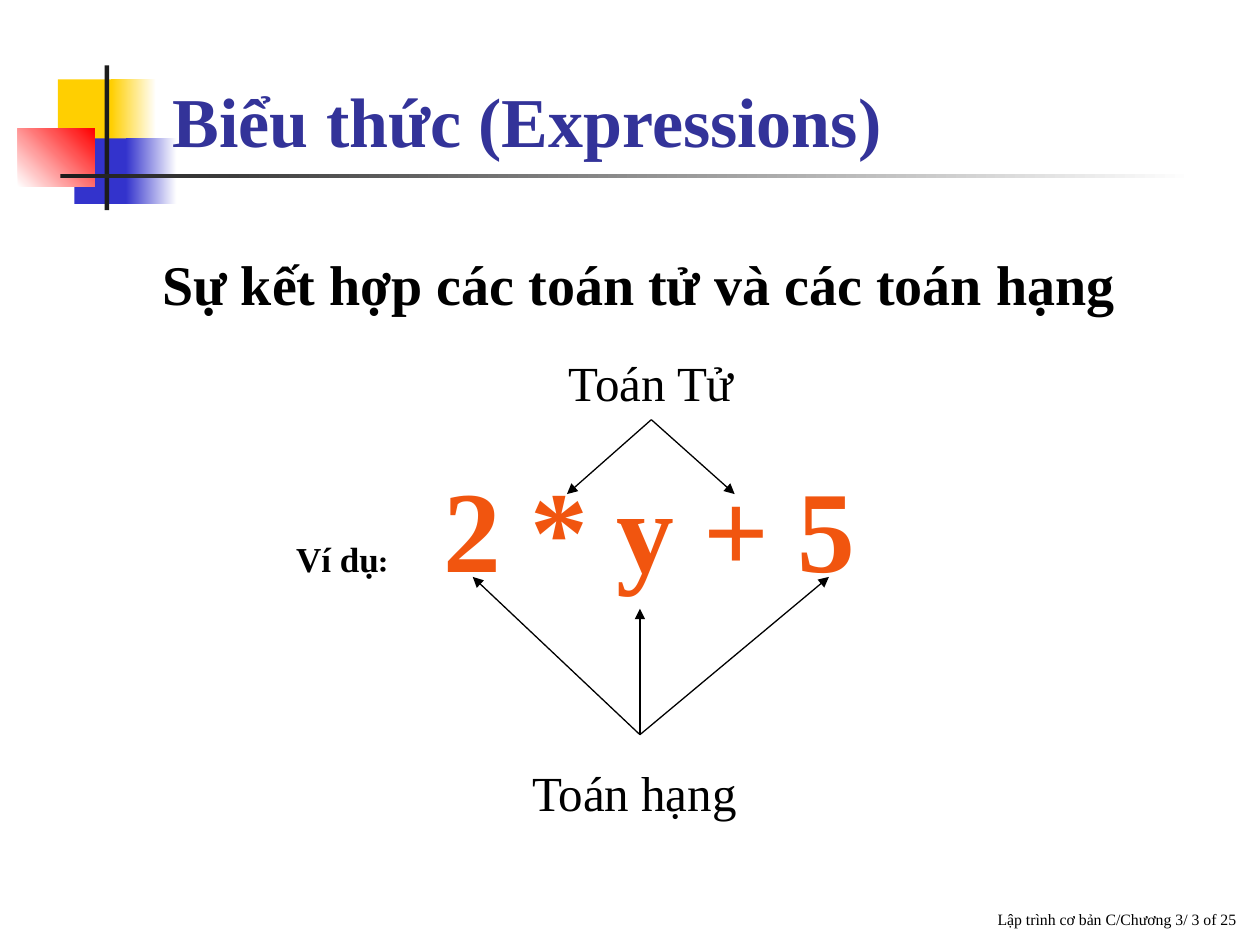
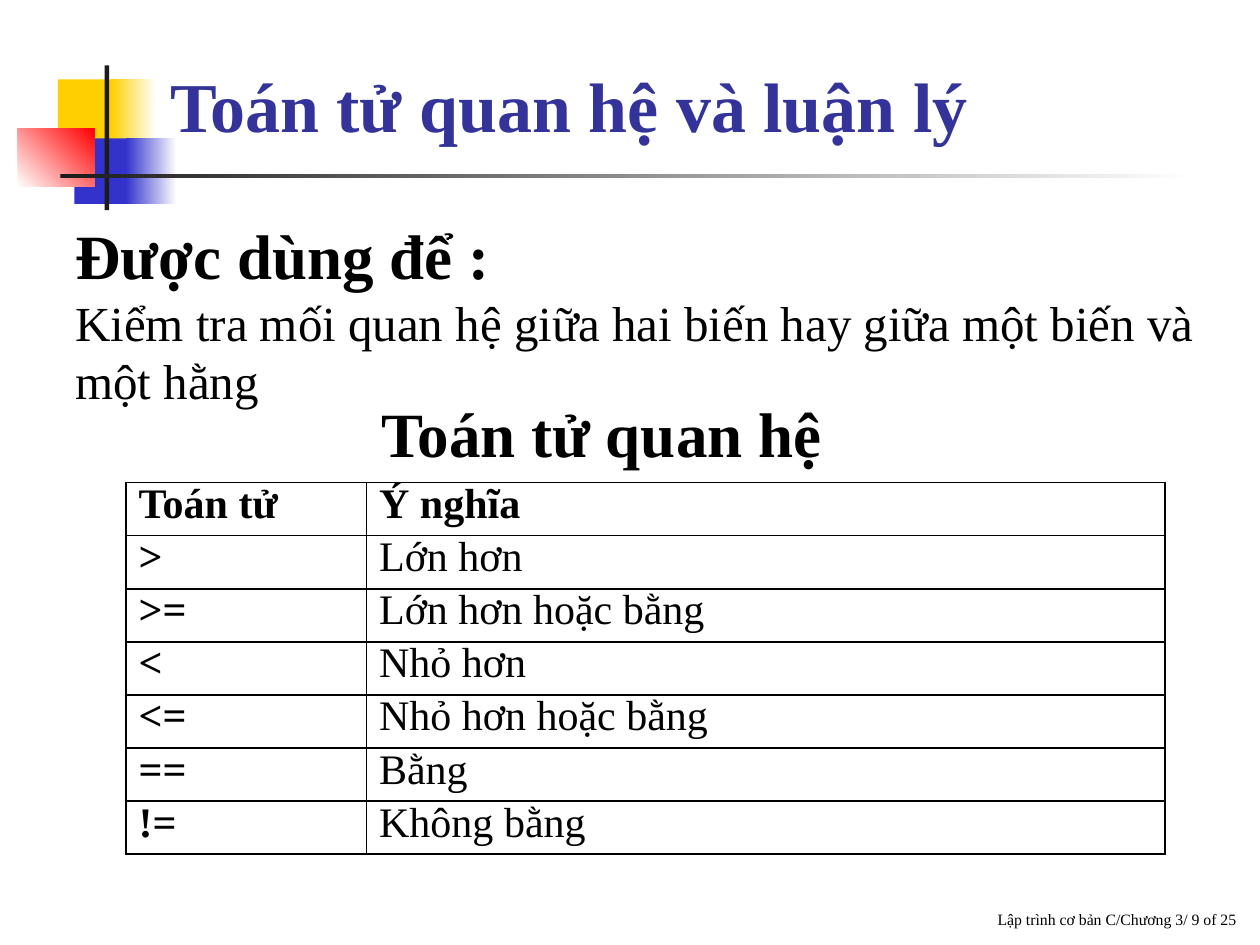
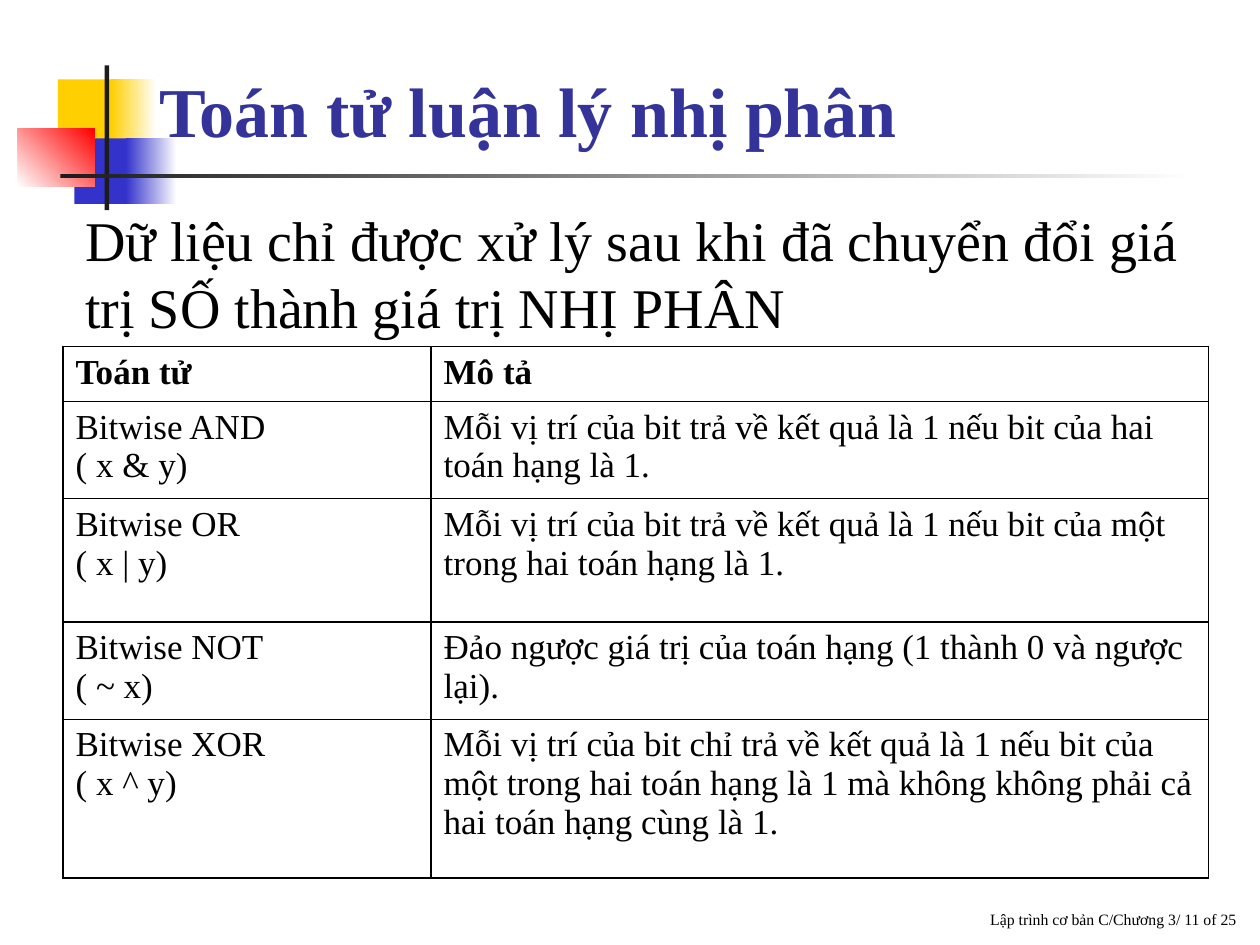
from pptx import Presentation
from pptx.dml.color import RGBColor
from pptx.enum.shapes import MSO_CONNECTOR, MSO_SHAPE
from pptx.enum.text import MSO_ANCHOR as ANCHOR, PP_ALIGN as ALIGN
from pptx.oxml import parse_xml
from pptx.oxml.ns import nsdecls, qn
from pptx.util import Cm, Pt

FONT = "Times New Roman"
BLACK, WHITE, DARK = "000000", "FFFFFF", "1C1C1C"
YELLOW, BLUE, RED = "FFCF01", "3333CC", "FF0000"
TITLE, ORANGE = "333399", "F1550F"
SLIDE_COUNT = 25


def rgb(value):
    return RGBColor.from_string(value)


def cms(*values):
    return [Cm(v) for v in values]


def xml(tag, body="", attrs=""):
    return parse_xml(f'<a:{tag} {nsdecls("a")} {attrs}>{body}</a:{tag}>')


def style(run, size, color=BLACK, bold=False, font=FONT):
    run.font.name, run.font.size, run.font.bold = font, Pt(size), bold
    run.font.color.rgb = rgb(color)


def add_rect(s, at, start, end=None, angle=0):
    """Draw a borderless rectangle, with a gradient if an end colour is given."""
    sp = s.shapes.add_shape(MSO_SHAPE.RECTANGLE, *cms(*at))
    sp.shadow.inherit = False
    sp.line.fill.background()
    if end is None:
        sp.fill.solid()
        sp.fill.fore_color.rgb = rgb(start)
        return
    sp.fill.gradient()
    sp.fill.gradient_angle = angle
    for stop, color, position in zip(sp.fill.gradient_stops, (start, end), (0, 1)):
        stop.color.rgb = rgb(color)
        stop.position = position


def add_text(s, at, text, size, color=BLACK, bold=False, align=ALIGN.LEFT,
             anchor=ANCHOR.TOP, wrap=True):
    tf = s.shapes.add_textbox(*cms(*at)).text_frame
    tf.word_wrap = wrap
    tf.vertical_anchor = anchor
    tf.text = text
    for p in tf.paragraphs:
        p.alignment = align
        for r in p.runs:
            style(r, size, color, bold)
    return tf


def add_arrow(s, start, end):
    c = s.shapes.add_connector(MSO_CONNECTOR.STRAIGHT, *cms(*start, *end))
    c.line.color.rgb = rgb(BLACK)
    c.line.width = Pt(0.75)
    sp_pr = c._element.spPr
    sp_pr.find(qn("a:ln")).append(xml("tailEnd", attrs='type="triangle"'))
    sp_pr.append(xml("effectLst"))


def add_borders(cell):
    fill = f'<a:solidFill><a:srgbClr val="{BLACK}"/></a:solidFill>'
    tc_pr = cell._tc.get_or_add_tcPr()
    for side in ("lnL", "lnR", "lnT", "lnB"):
        tc_pr.append(xml(side, fill, f'w="{Pt(1)}"'))


def add_table(s, left, top, widths, heights, rows, size, bold_first=False, spacing=None):
    """Draw a ruled table with a bold header row and, if asked, a bold first column."""
    frame = s.shapes.add_table(len(rows), len(widths),
                               *cms(left, top, sum(widths), sum(heights)))
    table = frame.table
    table.first_row = table.horz_banding = False
    for column, width in zip(table.columns, widths):
        column.width = Cm(width)
    for row, height in zip(table.rows, heights):
        row.height = Cm(height)
    for i, texts in enumerate(rows):
        for j, text in enumerate(texts):
            cell = table.cell(i, j)
            cell.text = text
            add_borders(cell)
            cell.fill.background()
            for p in cell.text_frame.paragraphs:
                p.line_spacing = spacing
                for r in p.runs:
                    style(r, size, bold=i == 0 or (bold_first and j == 0))


def add_slide(prs, number, title, title_at):
    """Add a slide with the corner ornament, footer and title."""
    s = prs.slides.add_slide(prs.slide_layouts[6])
    add_rect(s, (1.17, 1.6, 1.22, 1.32), YELLOW)
    add_rect(s, (2.24, 1.6, 0.91, 1.32), YELLOW, WHITE)
    add_rect(s, (1.5, 2.79, 1.17, 1.32), BLUE)
    add_rect(s, (2.54, 2.79, 1.02, 1.32), BLUE, WHITE)
    add_rect(s, (0.36, 2.59, 1.55, 1.17), WHITE, RED, 45)
    add_rect(s, (2.11, 1.32, 0.09, 2.92), DARK)
    add_rect(s, (1.22, 3.5, 22.86, 0.09), DARK, WHITE)
    add_text(s, (9.73, 17.58, 15.44, 1.27),
             f"Lập trình cơ bản C/Chương 3/ {number} of {SLIDE_COUNT}", 9,
             align=ALIGN.RIGHT, anchor=ANCHOR.BOTTOM)
    add_text(s, title_at, title, 40, TITLE, True, anchor=ANCHOR.BOTTOM)
    return s


def add_example(s):
    """Write the sample expression after its label, at a tab stop."""
    p = add_text(s, (5.72, 9.09, 14.6, 3.05), "Ví dụ", 20, bold=True).paragraphs[0]
    stop = f'<a:tab pos="{Cm(2.97)}" algn="l"/>'
    p._p.get_or_add_pPr().append(xml("tabLst", stop))
    for text, size, color, font in ((":", 18, BLACK, "Karla"),
                                    ("\t2 * y + 5", 66, ORANGE, FONT)):
        r = p.add_run()
        r.text = text
        style(r, size, color, True, font)


def expressions_slide(prs):
    s = add_slide(prs, 3, "Biểu thức (Expressions)", (3.23, 1.09, 19.2, 2.29))
    add_text(s, (3.02, 4.9, 21.7, 1.6), "Sự kết hợp các toán tử và các toán hạng",
             32, bold=True)
    for end in ((9.53, 11.63), (16.71, 11.63), (12.9, 12.27)):
        add_arrow(s, (12.9, 14.81), end)
    add_text(s, (9.83, 15.24, 5.92, 1.45), "Toán hạng", 28, align=ALIGN.CENTER)
    for end in ((11.43, 9.96), (14.81, 9.96)):
        add_arrow(s, (13.13, 8.46), end)
    add_text(s, (10.8, 6.99, 4.65, 1.45), "Toán Tử", 28, align=ALIGN.CENTER)
    add_example(s)


def relational_slide(prs):
    s = add_slide(prs, 9, "Toán tử quan hệ và luận lý", (3.18, 0.84, 20.75, 2.24))
    tf = add_text(s, (1.27, 4.24, 23.29, 4.17), "Ðược dùng để :", 36, bold=True)
    p = tf.add_paragraph()
    p.text = "Kiểm tra mối quan hệ giữa hai biến hay giữa một biến và một hằng"
    style(p.runs[0], 28)
    add_text(s, (7.44, 7.82, 9.5, 1.78), "Toán tử quan hệ", 36, bold=True, wrap=False)
    rows = [
        ("Toán tử", "Ý nghĩa"),
        (">", "Lớn hơn"),
        (">=", "Lớn hơn hoặc bằng"),
        ("<", "Nhỏ hơn"),
        ("<=", "Nhỏ hơn hoặc bằng"),
        ("==", "Bằng"),
        ("!=", "Không bằng"),
    ]
    add_table(s, 2.54, 9.73, (4.85, 16.1), [1.07] * len(rows), rows, 24,
              bold_first=True, spacing=0.8)


def bitwise_slide(prs):
    s = add_slide(prs, 11, "Toán tử luận lý nhị phân", (2.97, 0.84, 20.96, 2.34))
    add_text(s, (1.47, 4.01, 22.66, 2.97),
             "Dữ liệu chỉ được xử lý sau khi đã chuyển đổi giá trị SỐ "
             "thành giá trị NHỊ PHÂN", 32)
    rows = [
        ("Toán tử", "Mô tả"),
        ("Bitwise AND\n( x & y)",
         "Mỗi vị trí của bit trả về kết quả là 1 nếu bit của hai toán hạng là 1."),
        ("Bitwise OR\n( x | y)",
         "Mỗi vị trí của bit trả về kết quả là 1 nếu bit của một trong hai "
         "toán hạng là 1."),
        ("Bitwise NOT\n( ~ x)",
         "Ðảo ngược giá trị của toán hạng (1 thành 0 và ngược lại)."),
        ("Bitwise XOR\n( x ^ y)",
         "Mỗi vị trí của bit chỉ trả về kết quả là 1 nếu bit của một trong hai "
         "toán hạng là 1 mà không không phải cả hai toán hạng cùng là 1."),
    ]
    add_table(s, 1.27, 6.99, (7.42, 15.67), (1.09, 1.96, 2.49, 1.96, 3.2), rows, 20)


def main():
    prs = Presentation()
    prs.slide_width, prs.slide_height = cms(25.4, 19.05)
    expressions_slide(prs)
    relational_slide(prs)
    bitwise_slide(prs)
    prs.save("out.pptx")


if __name__ == "__main__":
    main()
